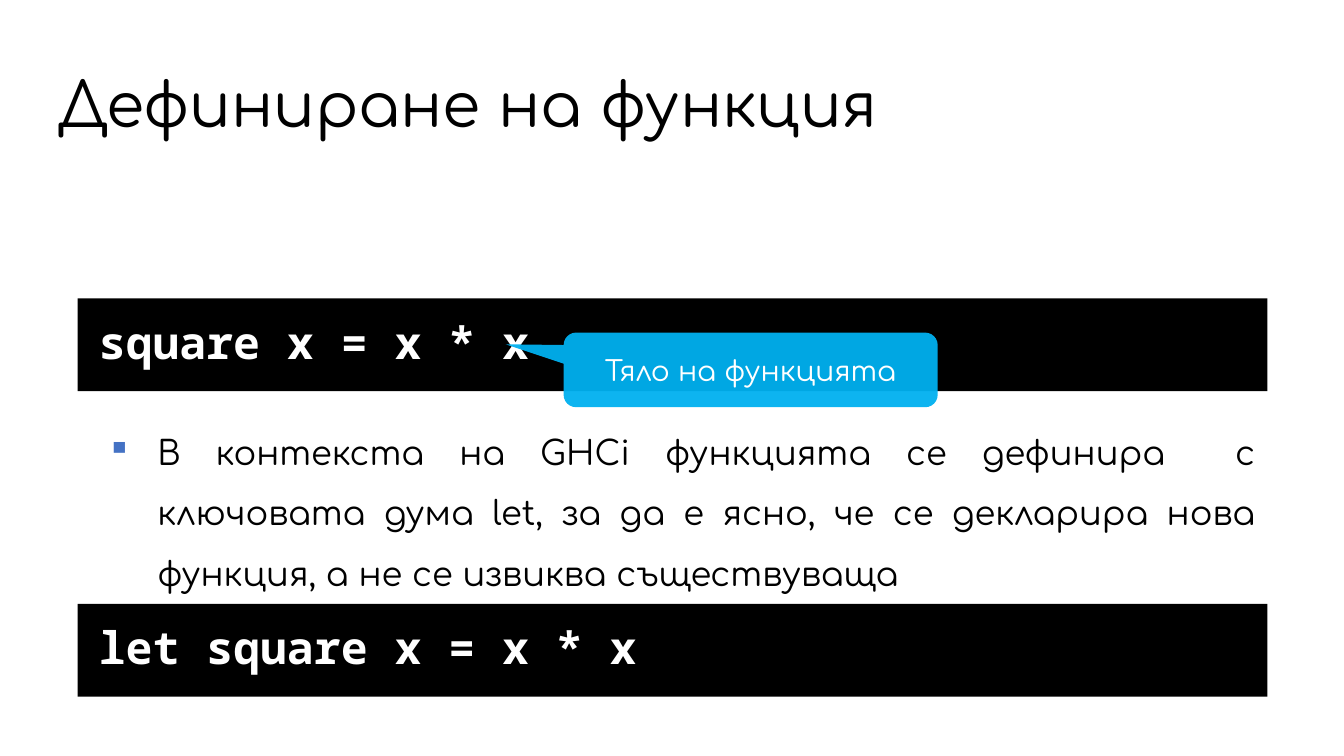
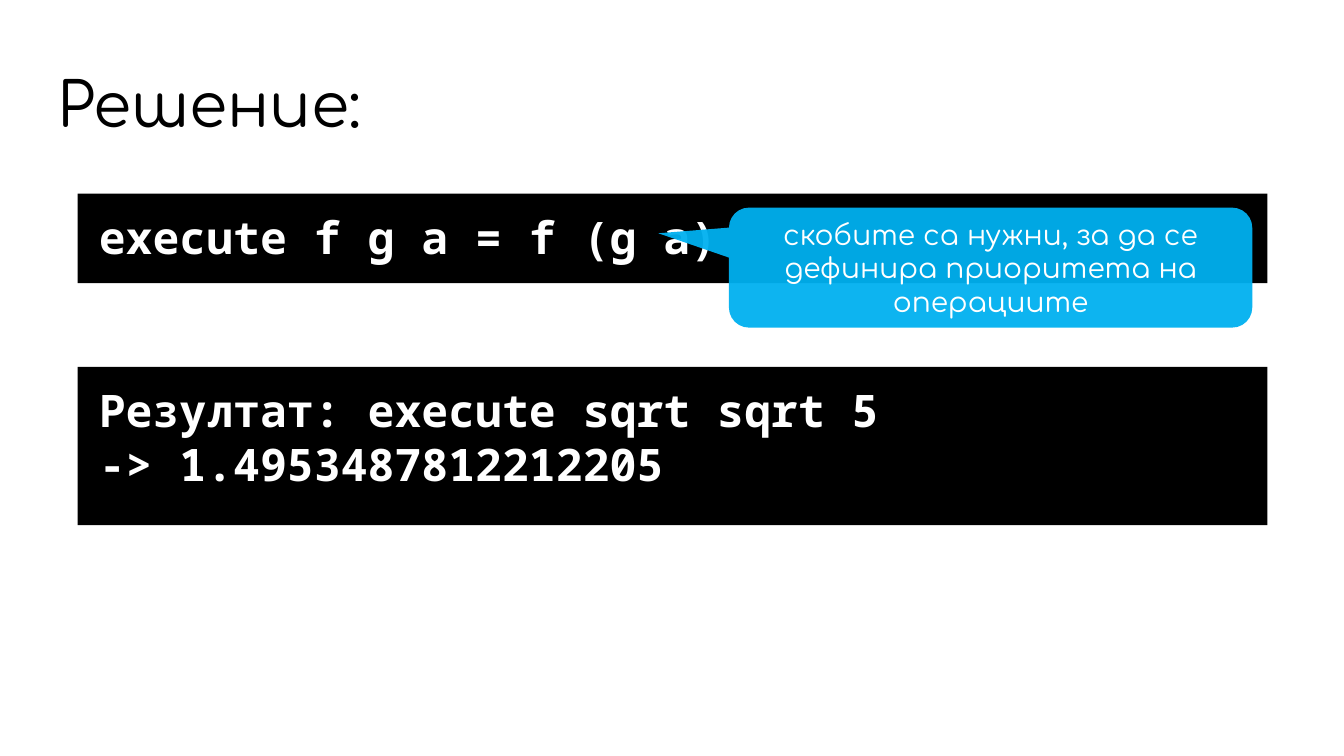
from lxml import etree
from pptx import Presentation
from pptx.dml.color import RGBColor
from pptx.enum.shapes import MSO_SHAPE as Preset
from pptx.enum.text import MSO_ANCHOR as Anchor, PP_ALIGN as Align
from pptx.oxml.ns import qn
from pptx.util import Inches, Pt

BLACK, WHITE, SKY, BLUE = "000000", "FFFFFF", "00B0F0", "4472C4"
TEXT_FONT, CODE_FONT = "Comfortaa", "Noto Sans Mono"
CODE_LEFT, CODE_WIDTH = 0.77, 11.8

# font, size, bold, colour, alignment, anchor, line spacing, side and top margins
STYLES = {
    "title": (TEXT_FONT, 44, False, BLACK, Align.LEFT, Anchor.MIDDLE, 0.9, 0.12, 0.04),
    "body": (TEXT_FONT, 24, False, BLACK, Align.JUSTIFY, Anchor.TOP, 1.5, 0.12, 0.04),
    "code": (CODE_FONT, 32, True, WHITE, Align.LEFT, Anchor.TOP, 1.0, 0.21, 0.16),
    "callout": (TEXT_FONT, 20, False, WHITE, Align.CENTER, Anchor.MIDDLE, 1.0, 0.13, 0.07),
}

SLIDES = [
    {
        "title": "Дефиниране на функция",
        "code": [(2.96, 0.92, "square x = x * x"),
                 (5.99, 0.92, "let square x = x * x")],
        "callout": ((5.59, 3.3, 3.71, 0.74), (-0.655, -0.343, 0.167),
                    "Тяло на функцията"),
        "body": "В контекста на GHCi функцията се дефинира  с ключовата дума let, "
                "за да е ясно, че се декларира нова функция, а не се извиква съществуваща",
    },
    {
        "title": "Решение:",
        "code": [(1.92, 0.89, "execute f g a = f (g a)"),
                 (3.64, 1.57, "Резултат: execute sqrt sqrt 5\n-> 1.4953487812212205")],
        "callout": ((7.23, 2.06, 5.19, 1.19), (-0.635, -0.286, 0.167),
                    "скобите са нужни, за да се дефинира приоритета на операциите"),
    },
]


def paint(color_format, color):
    color_format.rgb = RGBColor.from_string(color)


def add_box(page, place, text, style, preset=None, fill=None):
    """Add a filled preset shape, or a text box when no preset is given."""
    place = [Inches(length) for length in place]
    if preset is None:
        box = page.shapes.add_textbox(*place)
    else:
        box = page.shapes.add_shape(preset, *place)
        box.shadow.inherit = False
        box.fill.solid()
        paint(box.fill.fore_color, fill)
        box.line.fill.background()

    font, size, bold, color, align, anchor, spacing, side, top = STYLES[style]
    frame = box.text_frame
    frame.word_wrap = True
    frame.vertical_anchor = anchor
    frame.margin_left = frame.margin_right = Inches(side)
    frame.margin_top = frame.margin_bottom = Inches(top)
    frame.text = text
    for para in frame.paragraphs:
        para.alignment = align
        para.line_spacing = spacing
        para.font.name = font
        para.font.size = Pt(size)
        para.font.bold = bold
        paint(para.font.color, color)
    return box


deck = Presentation()
deck.slide_width, deck.slide_height = Inches(13.33), Inches(7.5)

for content in SLIDES:
    page = deck.slides.add_slide(deck.slide_layouts[6])
    add_box(page, (0.45, 0.65, 12.42, 0.84), content["title"], "title")

    for top, height, code in content["code"]:
        add_box(page, (CODE_LEFT, top, CODE_WIDTH, height), code, "code",
                Preset.RECTANGLE, BLACK)

    place, adjustments, text = content["callout"]
    callout = add_box(page, place, text, "callout",
                      Preset.ROUNDED_RECTANGULAR_CALLOUT, SKY)
    for index, value in enumerate(adjustments):
        callout.adjustments[index] = value
    fill_color = callout.fill._xPr.find(qn("a:solidFill"))[0]
    etree.SubElement(fill_color, qn("a:alpha"), val="95000")

    if "body" in content:
        body = add_box(page, (CODE_LEFT, 4.04, CODE_WIDTH, 1.19), content["body"], "body")
        properties = body.text_frame.paragraphs[0]._p.get_or_add_pPr()
        properties.set("marL", str(Inches(0.67)))
        properties.set("indent", str(Inches(-0.5)))
        # Bullet settings belong right after the line spacing
        bullet_color = etree.Element(qn("a:buClr"))
        etree.SubElement(bullet_color, qn("a:srgbClr"), val=BLUE)
        bullet = etree.Element(qn("a:buChar"), char="▪")
        properties.find(qn("a:lnSpc")).addnext(bullet_color)
        bullet_color.addnext(bullet)

deck.save("out.pptx")
